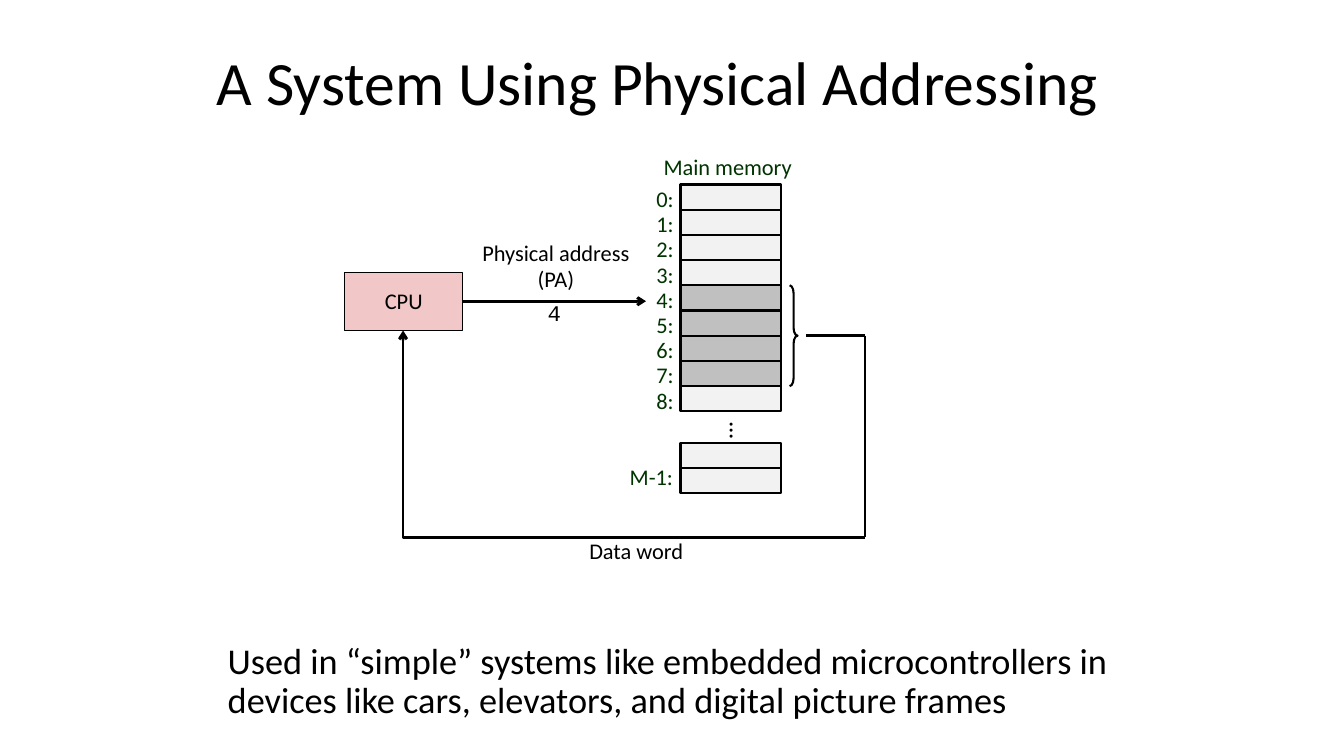
from lxml import etree
from pptx import Presentation
from pptx.dml.color import RGBColor
from pptx.enum.shapes import MSO_CONNECTOR, MSO_SHAPE
from pptx.enum.text import MSO_ANCHOR, MSO_AUTO_SIZE, PP_ALIGN
from pptx.oxml.ns import qn
from pptx.util import Cm, Pt

LEFT, CENTER = PP_ALIGN.LEFT, PP_ALIGN.CENTER
TOP, MIDDLE = MSO_ANCHOR.TOP, MSO_ANCHOR.MIDDLE
STRAIGHT, ELBOW = MSO_CONNECTOR.STRAIGHT, MSO_CONNECTOR.ELBOW
RECTANGLE, BRACE = MSO_SHAPE.RECTANGLE, MSO_SHAPE.RIGHT_BRACE

COLORS = {
    "ink": "000000",
    "label": "003300",
    "cpu": "F1C7C7",
    "cell": "F2F2F2",
    "word": "C0C0C0",
}
FONT = "Calibri"
ROW = 1.27 / 2  # height of one memory cell, cm
CELL_WIDTH = 2.54
WORD_ROWS = range(4, 8)  # cells of the data word that is read


def color(name):
    return RGBColor.from_string(COLORS[name])


def write(shape, text, size=16, ink="ink", align=CENTER, anchor=MIDDLE,
          spacing=0.98, font=FONT, wrap=False):
    frame = shape.text_frame
    frame.text = text
    frame.word_wrap = wrap
    frame.auto_size = MSO_AUTO_SIZE.NONE
    frame.vertical_anchor = anchor
    for para in frame.paragraphs:
        para.alignment = align
        para.line_spacing = spacing
        para.space_before = Pt(0)
        for span in para.runs:
            span.font.name = font
            span.font.size = Pt(size)
            span.font.color.rgb = color(ink)


def add_text(page, box, text, **style):
    shape = page.shapes.add_textbox(*map(Cm, box))
    write(shape, text, **style)
    return shape


def add_block(page, kind, box, fill=None, width=1.5):
    shape = page.shapes.add_shape(kind, *map(Cm, box))
    shape.shadow.inherit = False
    if fill:
        shape.fill.solid()
        shape.fill.fore_color.rgb = color(fill)
    else:
        shape.fill.background()
    shape.line.color.rgb = color("ink")
    shape.line.width = Pt(width)
    return shape


def add_wire(page, start, end, kind=STRAIGHT, arrow=False):
    wire = page.shapes.add_connector(kind, *map(Cm, (*start, *end)))
    wire.line.color.rgb = color("ink")
    wire.line.width = Pt(2)
    properties = wire._element.spPr
    if arrow:
        outline = properties.find(qn("a:ln"))
        etree.SubElement(outline, qn("a:tailEnd"), type="arrow")
    etree.SubElement(properties, qn("a:effectLst"))
    return wire


def add_title(page, box):
    title = page.shapes.title
    title.left, title.top, title.width, title.height = map(Cm, box)
    write(title, "A System Using Physical Addressing", size=44, align=LEFT,
          spacing=0.9, wrap=True)


def add_memory(page, left, top):
    """Column of cells; the last two stand after a gap."""
    label = {"ink": "label", "spacing": 0.88, "anchor": TOP}
    add_text(page, (left - 0.74, top - 0.84, 3.86, 0.84), "Main memory", **label)
    for row in [*range(9), 10.25, 11.25]:
        fill = "word" if row in WORD_ROWS else "cell"
        add_block(page, RECTANGLE, (left, top + row * ROW, CELL_WIDTH, ROW), fill)
    for row in range(9):
        add_text(page, (left - 0.86, top + row * ROW - 0.02, 0.94, 0.84),
                 f"{row}:", align=LEFT, **label)
    add_text(page, (left - 1.53, top + 11 * ROW, 1.63, 0.84), "M-1:",
             align=LEFT, **label)

    # Ellipsis turned downwards between the two groups
    dots = add_text(page, (left + 0.2, top + 9 * ROW, CELL_WIDTH, ROW), "...", size=18)
    dots._element.txBody.bodyPr.set("vert", "eaVert")

    # Brace around the data word
    brace = add_block(page, BRACE, (left + 2.75, top + WORD_ROWS[0] * ROW,
                                    0.2, len(WORD_ROWS) * ROW))
    brace.adjustments[0] = 1.0


def add_cpu(page, box):
    write(add_block(page, RECTANGLE, box, "cpu", width=1), "CPU")


def add_address_bus(page, left, middle):
    add_wire(page, (left, middle), (left + 4.64, middle), arrow=True)
    add_text(page, (left + 0.2, middle - 1.68, 4.34, 1.6), "Physical address\n(PA)")
    add_text(page, (left + 1.91, middle - 0.18, 0.86, 0.94), "4", align=LEFT,
             anchor=TOP, spacing=1.0, font="Courier New")


def add_data_bus(page, start, corner, end):
    """From the brace right, down, and back to the foot of the CPU."""
    turn = (corner[0], start[1])
    add_wire(page, start, turn)
    add_wire(page, turn, corner)
    elbow = add_wire(page, corner, end, kind=ELBOW, arrow=True)
    geometry = elbow._element.spPr.find(qn("a:prstGeom"))
    guides = geometry.find(qn("a:avLst"))
    if guides is None:
        guides = etree.SubElement(geometry, qn("a:avLst"))
    etree.SubElement(guides, qn("a:gd"), name="adj1", fmla="val 100000")
    add_text(page, (14.55, corner[1] - 0.1, 2.97, 0.94), "Data word")


def add_remark(page, box):
    shape = page.shapes.add_textbox(*map(Cm, box))
    para = shape.text_frame.paragraphs[0]
    properties = para._p.get_or_add_pPr()
    properties.set("marL", str(Cm(0.64)))
    properties.set("indent", str(-Cm(0.64)))
    etree.SubElement(properties, qn("a:buFont"), typeface="Arial")
    etree.SubElement(properties, qn("a:buChar"), char="•")
    write(shape, "Used in “simple” systems like embedded microcontrollers "
          "in devices like cars, elevators, and digital picture frames",
          size=25.9, align=LEFT, anchor=TOP, spacing=0.9, wrap=True)


def main():
    deck = Presentation()
    deck.slide_width, deck.slide_height = Cm(33.87), Cm(19.05)
    page = deck.slides.add_slide(deck.slide_layouts[5])
    add_title(page, (5.21, 1.07, 24.2, 2.18))
    add_memory(page, 17.15, 4.65)
    add_cpu(page, (8.69, 6.86, 2.97, 1.47))
    add_address_bus(page, 11.64, 7.59)
    add_data_bus(page, (20.32, 8.46), (21.8, 13.54), (10.16, 8.33))
    add_remark(page, (5.49, 16.08, 23.09, 2.44))
    deck.save("out.pptx")


if __name__ == "__main__":
    main()
